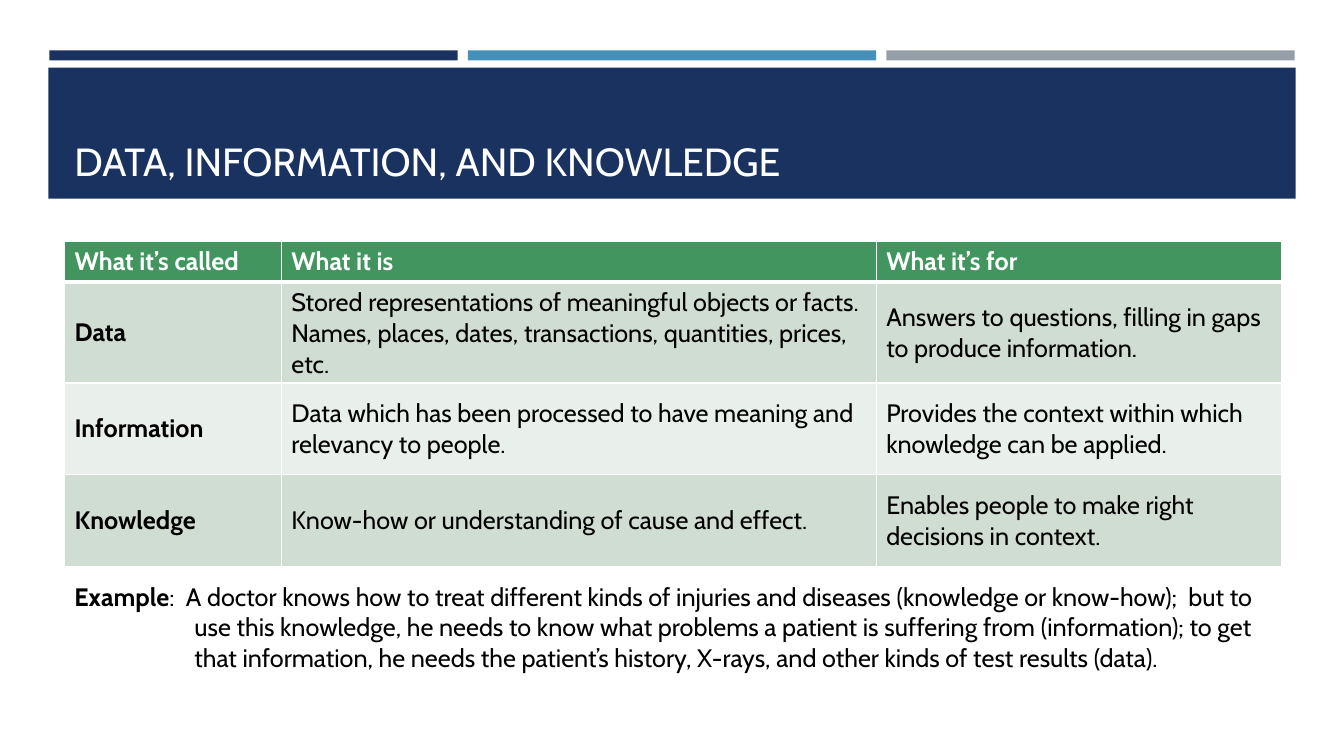
from lxml import etree
from pptx import Presentation
from pptx.dml.color import RGBColor
from pptx.enum.shapes import MSO_SHAPE as Preset
from pptx.enum.text import MSO_ANCHOR as Anchor
from pptx.oxml.ns import qn
from pptx.util import Inches, Pt

COLOURS = {
    "navy": "1A3260", "blue": "4590B8", "grey": "969FA7", "green": "42955F",
    "sage": "CFDDD2", "mist": "E9EFEA", "white": "FFFFFF", "black": "000000",
}
FONT = "Cabin"
TITLE = "DATA, INFORMATION, AND KNOWLEDGE"
ROWS = [
    ("What it’s called", "What it is", "What it’s for"),
    ("Data",
     "Stored representations of meaningful objects or facts.  Names, places, dates, "
     "transactions, quantities, prices, etc.",
     "Answers to questions, filling in gaps to produce information."),
    ("Information",
     "Data which has been processed to have meaning and relevancy to people.",
     "Provides the context within which knowledge can be applied."),
    ("Knowledge",
     "Know-how or understanding of cause and effect.",
     "Enables people to make right decisions in context."),
]
EXAMPLE = (
    "Example",
    ":  A doctor knows how to treat different kinds of injuries and diseases "
    "(knowledge or know-how);  but to use this knowledge, he needs to know what "
    "problems a patient is suffering from (information); to get that information, "
    "he needs the patient’s history, X-rays, and other kinds of test results (data).",
)


def colour(name):
    return RGBColor.from_string(COLOURS[name])


def style(span, size, ink, bold=False):
    span.font.name = FONT
    span.font.size = Pt(size)
    span.font.bold = bold
    span.font.color.rgb = colour(ink)


def add_block(page, box, fill):
    block = page.shapes.add_shape(Preset.RECTANGLE, *map(Inches, box))
    block.shadow.inherit = False
    block.fill.solid()
    block.fill.fore_color.rgb = colour(fill)
    block.line.fill.background()


def add_text_frame(page, box, anchor):
    frame = page.shapes.add_textbox(*map(Inches, box)).text_frame
    frame.word_wrap = True
    frame.vertical_anchor = anchor
    return frame


def add_stripes(page, box):
    left, top, width, height = box
    gap = 0.1
    stripe = (width - 2 * gap) / 3
    for column, fill in enumerate(("navy", "blue", "grey")):
        add_block(page, (left + column * (stripe + gap), top, stripe, height), fill)


def add_banner(page, box):
    left, top, width, height = box
    add_block(page, box, "navy")
    frame = add_text_frame(page, (left + 0.16, top + 0.1, width - 0.31, height - 0.19), Anchor.BOTTOM)
    frame.text = TITLE
    style(frame.paragraphs[0].runs[0], 28, "white")


def set_borders(cell, widths):
    properties = cell._tc.get_or_add_tcPr()
    for place, (side, points) in enumerate(widths.items()):
        line = etree.Element(qn(f"a:ln{side}"), w=str(Pt(points)))
        fill = etree.SubElement(line, qn("a:solidFill"))
        etree.SubElement(fill, qn("a:srgbClr"), val=COLOURS["white"])
        properties.insert(place, line)


def add_definitions(page, box):
    table = page.shapes.add_table(len(ROWS), len(ROWS[0]), *map(Inches, box)).table
    for column, width in zip(table.columns, (2.15, 5.9, 4.02)):
        column.width = Inches(width)
    for row, height in zip(table.rows, (0.41, 0.91, 0.91, 0.91)):
        row.height = Inches(height)
    for r, texts in enumerate(ROWS):
        header = r == 0
        fill = "green" if header else ("mist", "sage")[r % 2]
        for c, text in enumerate(texts):
            cell = table.cell(r, c)
            cell.text = text
            cell.vertical_anchor = Anchor.TOP if header else Anchor.MIDDLE
            cell.fill.solid()
            cell.fill.fore_color.rgb = colour(fill)
            style(cell.text_frame.paragraphs[0].runs[0], 18,
                  "white" if header else "black", header or c == 0)
            set_borders(cell, {"L": 1, "R": 1, "T": 3 if r == 1 else 1, "B": 3 if header else 1})


def add_example(page, box):
    para = add_text_frame(page, box, Anchor.TOP).paragraphs[0]
    indent = Inches(1.19)
    properties = para._p.get_or_add_pPr()
    properties.set("marL", str(indent))
    properties.set("indent", str(-indent))
    for text, bold in zip(EXAMPLE, (True, False)):
        span = para.add_run()
        span.text = text
        style(span, 18, "black", bold)


def main():
    deck = Presentation()
    deck.slide_width, deck.slide_height = Inches(13.33), Inches(7.5)
    page = deck.slides.add_slide(deck.slide_layouts[6])
    add_stripes(page, (0.49, 0.5, 12.35, 0.1))
    add_banner(page, (0.48, 0.67, 12.37, 1.3))
    add_definitions(page, (0.64, 2.39, 12.07, 3.14))
    add_example(page, (0.64, 5.72, 12.06, 1.01))
    deck.save("out.pptx")


if __name__ == "__main__":
    main()
